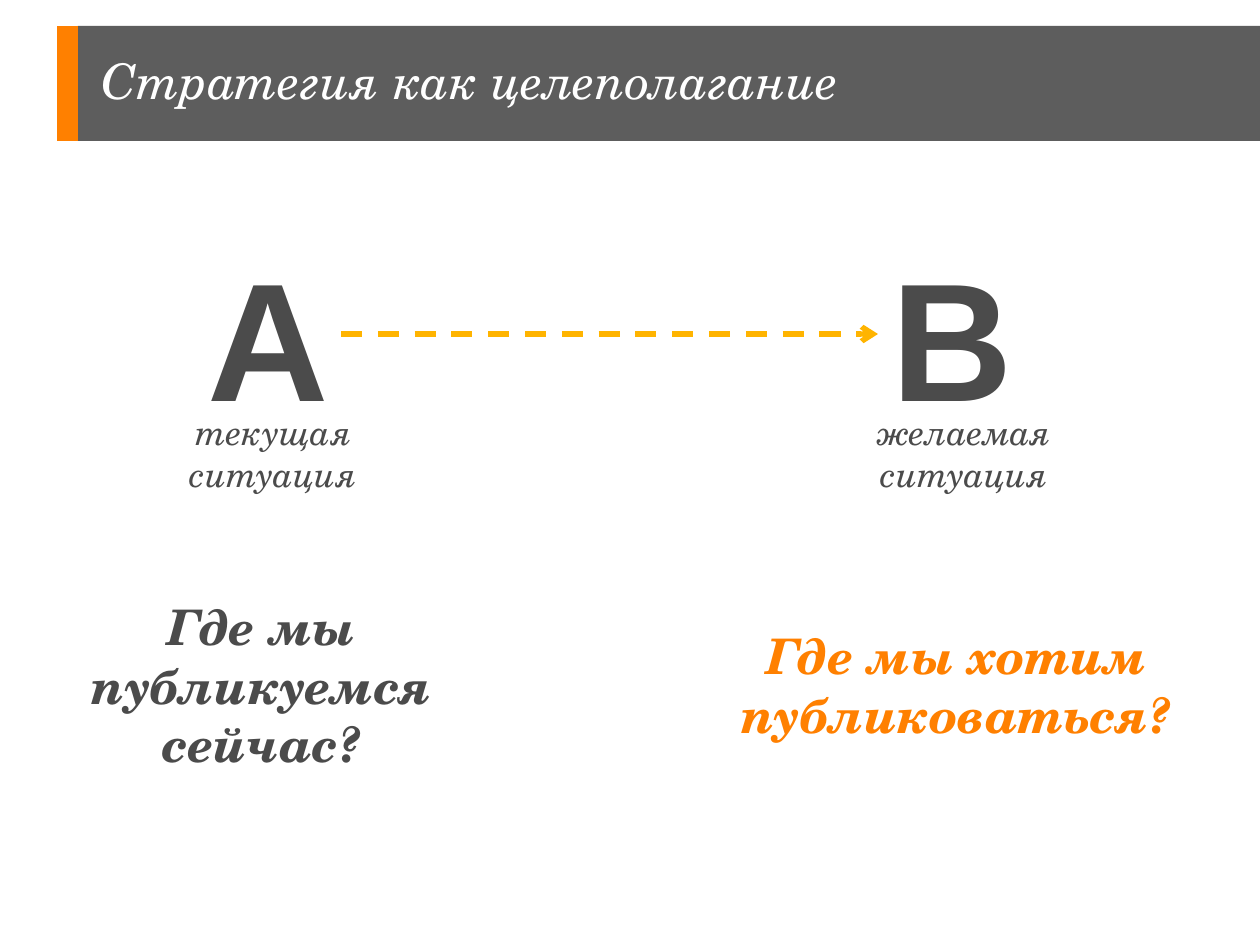
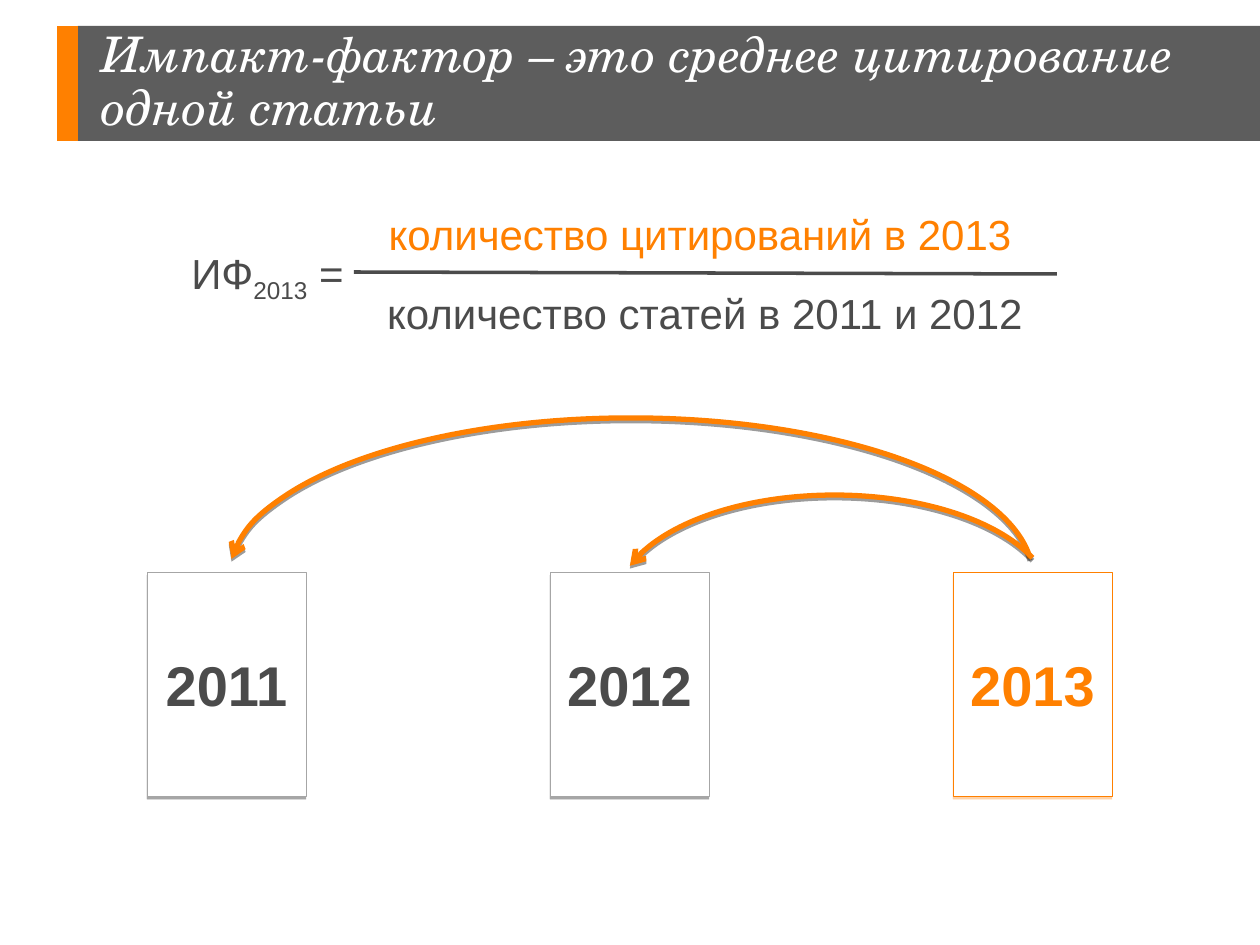
import math
from dataclasses import dataclass

from lxml import etree
from pptx import Presentation
from pptx import util as u
from pptx.dml.color import RGBColor
from pptx.enum import dml, shapes, text
from pptx.oxml.ns import qn

EMU_PER_PX = 914400 / 126


@dataclass(frozen=True)
class Theme:
    serif: str = "TeX Gyre Schola"
    sans: str = "Arial"
    white: str = "FFFFFF"
    band: str = "5D5D5D"
    ink: str = "4B4B4B"
    accent: str = "FF8000"
    amber: str = "FFB400"
    border: str = "A6A6A6"
    black: str = "000000"
    title: int = 28
    letter: int = 96
    caption: int = 20
    question: int = 28
    formula: int = 24
    year: int = 32


THEME = Theme()

BAND = (78, 26, 1182, 115)
ACCENT_X = 68

GOAL_TITLE = "Стратегия как целеполагание"
LETTERS = [("A", (195, 227, 146, 214)), ("B", (879, 227, 146, 214))]
CAPTIONS = [
    ("текущая ситуация", (174, 404, 199, 97)),
    ("желаемая ситуация", (861, 404, 207, 139)),
]
QUESTIONS = [
    ("Где мы публикуемся сейчас?", (64, 590, 396, 189), THEME.ink),
    ("Где мы хотим публиковаться?", (719, 619, 476, 131), THEME.accent),
]
GOAL_ARROW = (341, 334, 878, 334)

IMPACT_TITLE = "Импакт-фактор – это среднее цитирование одной статьи"
FORMULA_LEFT = [("ИФ", False), ("2013", True), (" =", False)]
FORMULA_LEFT_BOX = (179, 241, 178, 71)
FRACTION = [
    ("количество цитирований в 2013", (369, 202, 662, 63), THEME.accent),
    ("количество статей в 2011 и 2012", (372, 281, 666, 63), THEME.ink),
]
FRACTION_LINE = (354, 272, 1057, 274)
YEARS = [
    ("2011", THEME.ink, THEME.border, THEME.black),
    ("2012", THEME.ink, THEME.border, THEME.black),
    ("2013", THEME.accent, THEME.accent, THEME.accent),
]
FIRST_CARD = (147, 572, 159, 224)
CARD_PITCH = 403
CITATION_ARCS = [
    ((229, 418, 804, 318), (232, 559), (1031, 558)),
    ((616, 495, 437, 218), (631, 566), (1032, 558)),
]


def px(lengths):
    return [u.Emu(round(length * EMU_PER_PX)) for length in lengths]


def rgb(color):
    return RGBColor.from_string(color)


def add_span(para, words, size, color, font, bold=False, italic=False):
    span = para.add_run()
    span.text = words
    span.font.size = u.Pt(size)
    span.font.name = font
    span.font.color.rgb = rgb(color)
    span.font.bold = bold
    span.font.italic = italic
    return span


def add_box(page, frame, wrap=True, align=text.PP_ALIGN.CENTER):
    box = page.shapes.add_textbox(*px(frame))
    box.text_frame.word_wrap = wrap
    para = box.text_frame.paragraphs[0]
    para.alignment = align
    return para


def style_line(item, color, width):
    item.line.color.rgb = rgb(color)
    item.line.width = u.Pt(width)


def add_line(page, ends, color, width):
    line = page.shapes.add_connector(shapes.MSO_CONNECTOR.STRAIGHT, *px(ends))
    style_line(line, color, width)
    etree.SubElement(line.element.spPr, qn("a:effectLst"))
    return line


def add_arrowhead(item, end):
    outline = item.line._get_or_add_ln()
    etree.SubElement(outline, qn(f"a:{end}"), type="arrow")


def add_shadow(shape, color, alpha, distance):
    effects = etree.SubElement(shape.element.spPr, qn("a:effectLst"))
    shadow = etree.SubElement(
        effects, qn("a:outerShdw"), blurRad="0",
        dist=str(u.Pt(distance)), dir="5400000", rotWithShape="0")
    tint = etree.SubElement(shadow, qn("a:srgbClr"), val=color)
    etree.SubElement(tint, qn("a:alpha"), val=str(alpha * 1000))


def add_page(deck, heading):
    page = deck.slides.add_slide(deck.slide_layouts[5])
    left, top, width, height = BAND
    add_line(page, (ACCENT_X, top, ACCENT_X, top + height), THEME.accent, 12)
    title = page.shapes.title
    title.left, title.top, title.width, title.height = px(BAND)
    title.fill.solid()
    title.fill.fore_color.rgb = rgb(THEME.band)
    frame = title.text_frame
    frame.auto_size = text.MSO_AUTO_SIZE.NONE
    frame.word_wrap = True
    frame.vertical_anchor = text.MSO_ANCHOR.MIDDLE
    frame.margin_left, frame.margin_top, frame.margin_right, frame.margin_bottom = px([0] * 4)
    para = frame.paragraphs[0]
    para.alignment = text.PP_ALIGN.LEFT
    para.line_spacing = 0.9
    properties = para._p.get_or_add_pPr()
    properties.set("marL", str(px([24])[0]))
    properties.set("indent", "0")
    add_span(para, heading, THEME.title, THEME.white, THEME.serif, italic=True)
    return page


def add_card(page, frame, year, color, border, shade):
    card = page.shapes.add_shape(shapes.MSO_SHAPE.RECTANGLE, *px(frame))
    card.fill.solid()
    card.fill.fore_color.rgb = rgb(THEME.white)
    style_line(card, border, 0.25)
    add_shadow(card, shade, 35, 1.8)
    card.text_frame.word_wrap = False
    card.text_frame.vertical_anchor = text.MSO_ANCHOR.MIDDLE
    para = card.text_frame.paragraphs[0]
    para.alignment = text.PP_ALIGN.CENTER
    add_span(para, year, THEME.year, color, THEME.sans, bold=True)


def add_citation_arc(page, frame, *ends):
    left, top, width, height = frame
    arc = page.shapes.add_shape(shapes.MSO_SHAPE.ARC, *px(frame))
    for index, (x, y) in enumerate(ends):
        angle = math.atan2(y - top - height / 2, x - left - width / 2)
        arc.adjustments[index] = math.degrees(angle) % 360 * 0.6
    arc.fill.background()
    style_line(arc, THEME.accent, 3)
    add_arrowhead(arc, "headEnd")
    add_shadow(arc, THEME.black, 38, 1.6)


def build_goal_page(deck):
    page = add_page(deck, GOAL_TITLE)
    for letter, frame in LETTERS:
        para = add_box(page, frame, wrap=False, align=text.PP_ALIGN.LEFT)
        add_span(para, letter, THEME.letter, THEME.ink, THEME.sans, bold=True)
    arrow = add_line(page, GOAL_ARROW, THEME.amber, 3)
    arrow.line.dash_style = dml.MSO_LINE.DASH
    add_arrowhead(arrow, "tailEnd")
    for caption, frame in CAPTIONS:
        add_span(add_box(page, frame), caption, THEME.caption, THEME.ink,
                 THEME.serif, italic=True)
    for question, frame, color in QUESTIONS:
        add_span(add_box(page, frame), question, THEME.question, color,
                 THEME.serif, bold=True, italic=True)


def build_impact_page(deck):
    page = add_page(deck, IMPACT_TITLE)
    left, top, width, height = FIRST_CARD
    for index, card in enumerate(YEARS):
        add_card(page, (left + index * CARD_PITCH, top, width, height), *card)
    for arc in CITATION_ARCS:
        add_citation_arc(page, *arc)
    para = add_box(page, FORMULA_LEFT_BOX, wrap=False, align=text.PP_ALIGN.LEFT)
    for words, lowered in FORMULA_LEFT:
        span = add_span(para, words, THEME.formula, THEME.ink, THEME.sans)
        if lowered:
            span.font._element.set("baseline", "-25000")
    for words, frame, color in FRACTION:
        add_span(add_box(page, frame, wrap=False), words, THEME.formula, color, THEME.sans)
    add_line(page, FRACTION_LINE, THEME.ink, 2)


def main():
    deck = Presentation()
    deck.slide_width, deck.slide_height = u.Inches(10), u.Inches(7.5)
    build_goal_page(deck)
    build_impact_page(deck)
    deck.save("out.pptx")


if __name__ == "__main__":
    main()
